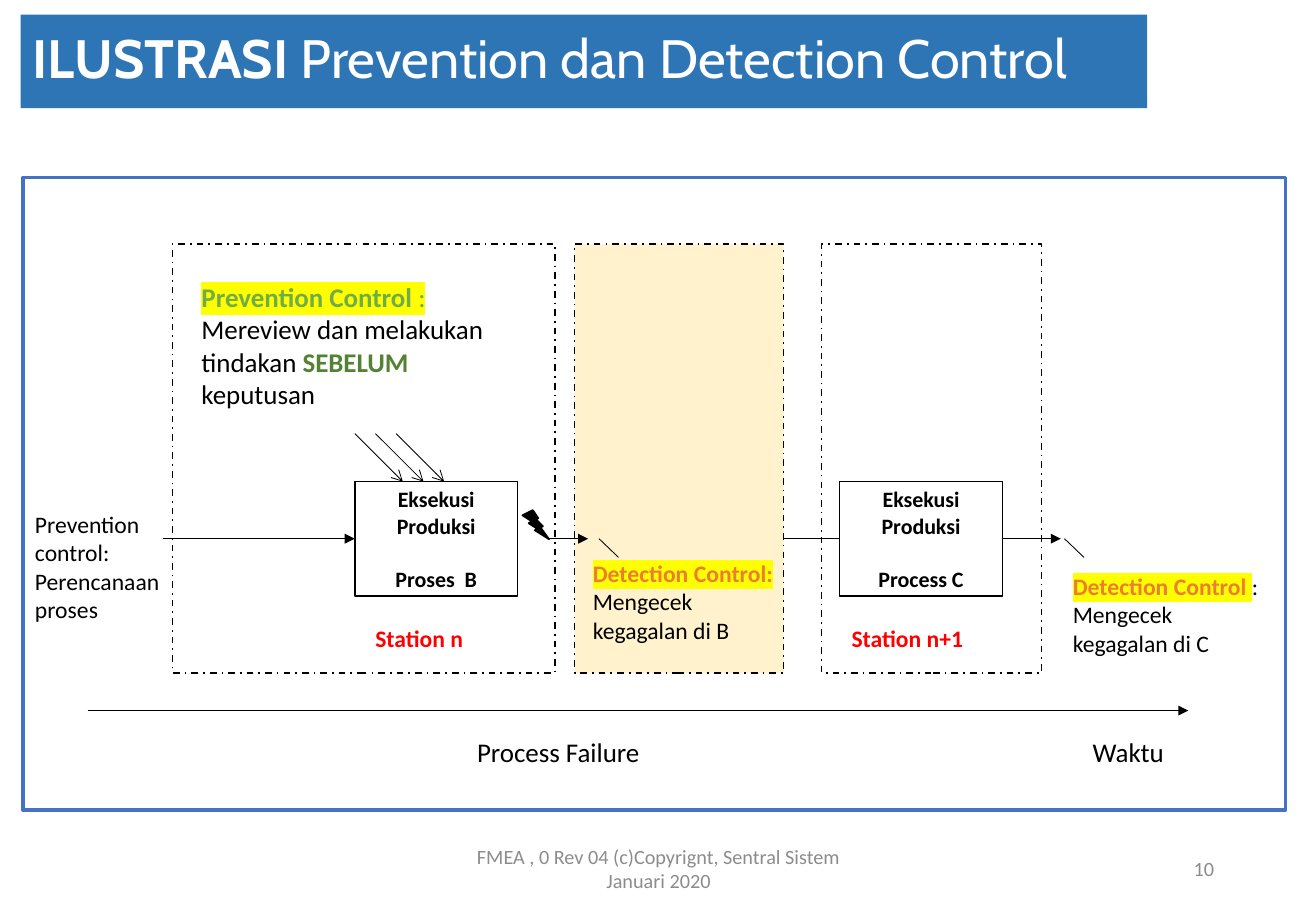
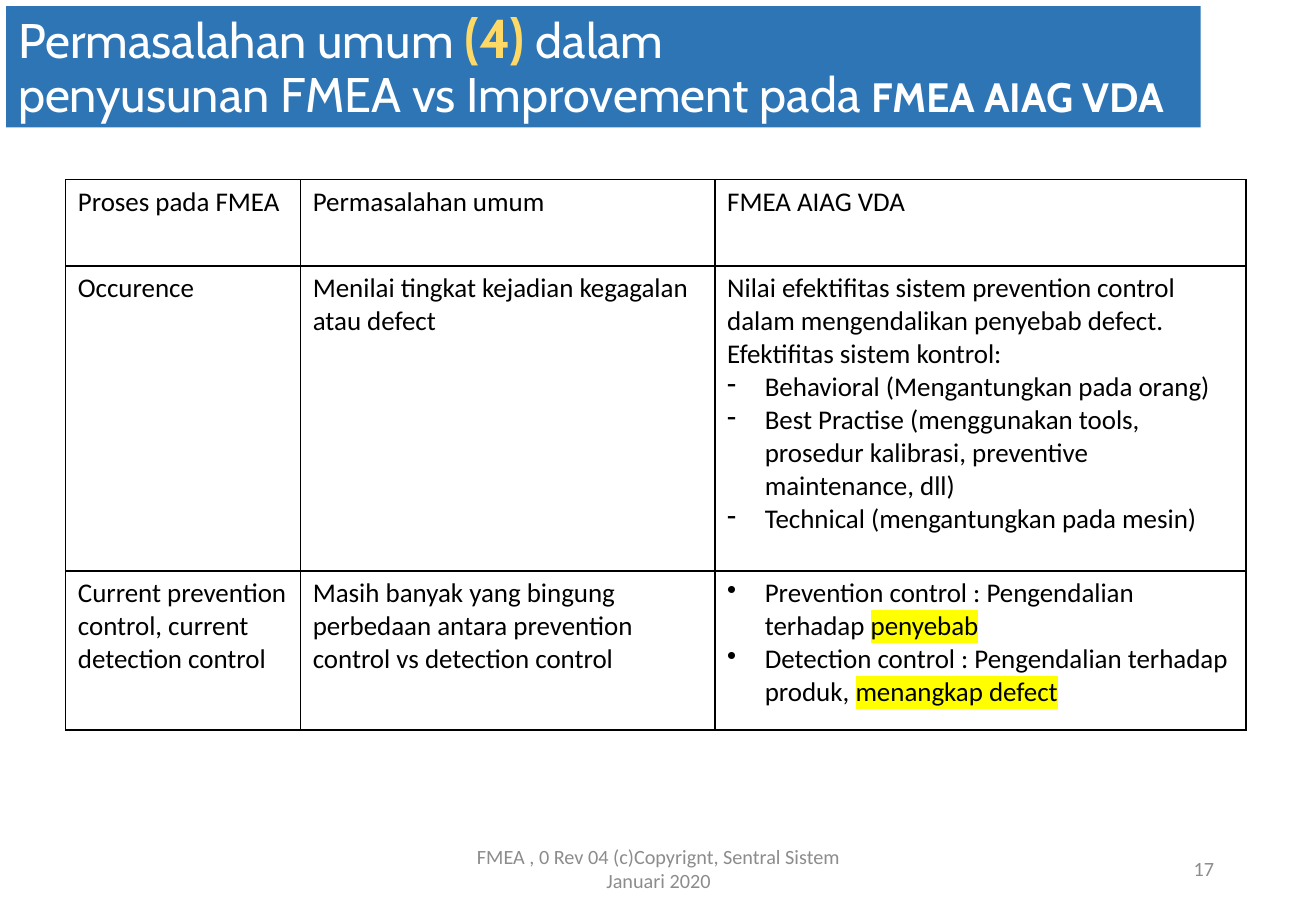
"""Builds two FMEA slides: a control flow illustration and a comparison table."""
from dataclasses import dataclass

from lxml import etree
from pptx import Presentation
from pptx.dml.color import RGBColor
from pptx.enum.dml import MSO_LINE
from pptx.enum.shapes import MSO_CONNECTOR, MSO_SHAPE
from pptx.enum.text import MSO_ANCHOR, PP_ALIGN
from pptx.oxml.ns import qn
from pptx.util import Inches, Pt

RECTANGLE, BOLT = MSO_SHAPE.RECTANGLE, MSO_SHAPE.LIGHTNING_BOLT
STRAIGHT = MSO_CONNECTOR.STRAIGHT
DASH_DOT = MSO_LINE.DASH_DOT
LEFT, CENTER, RIGHT = PP_ALIGN.LEFT, PP_ALIGN.CENTER, PP_ALIGN.RIGHT
TOP, MIDDLE = MSO_ANCHOR.TOP, MSO_ANCHOR.MIDDLE
LEFT_SIDE, RIGHT_SIDE = 1, 3

COLORS = {
    "band": "2E75B6", "white": "FFFFFF", "gold": "FFD966", "black": "000000",
    "footer": "8C8C8C", "cream": "FFF2CC", "orange": "ED7D31", "green": "70AD47",
    "dark green": "548235", "red": "FF0000", "frame": "4472C4", "marker": "FFFF00",
}
WIDTH, HEIGHT = Inches(10.83), Inches(7.5)
COLUMN, ROW = WIDTH / 100, HEIGHT / 100
HANGING = Inches(0.31)

BODY = {"name": "Calibri", "size": 16, "bold": False, "color": "black"}
NOTE = {**BODY, "size": 14}
STATION = {**NOTE, "bold": True, "color": "red"}
STEP = {**BODY, "size": 13, "bold": True}
FOOTER = {**BODY, "size": 12, "color": "footer"}
TITLE = {**BODY, "name": "Cabin", "size": 32, "color": "white"}
DETECTION = {"bold": True, "color": "orange", "marker": "marker"}
PREVENTION = {"color": "green", "marker": "marker"}
MARKED = {"marker": "marker"}

ZONE_TOP, ZONE_HEIGHT = 26.8, 47.07
STEP_TOP, STEP_WIDTH, STEP_HEIGHT = 52.87, 12.37, 12.53
FLOW = STEP_TOP + STEP_HEIGHT / 2
STEP_B, STEP_C = 26.96, 63.8
STATION_TOP, AXIS_TOP, FOOTER_TOP = 67.87, 80.13, 92.67


@dataclass
class Para:
    """A paragraph: runs are strings or (string, format) pairs."""
    runs: list
    bullet: str = ""
    before: float = 0


def across(columns):
    """Turns columns into a horizontal length."""
    return round(columns * COLUMN)


def down(rows):
    """Turns rows into a vertical length."""
    return round(rows * ROW)


def place(left, top, width, height):
    """Turns a grid area into slide lengths."""
    return across(left), down(top), across(width), down(height)


def rgb(name):
    """Looks up a named colour."""
    return RGBColor.from_string(COLORS[name])


def add_run(paragraph, text, look):
    """Adds one formatted run."""
    run = paragraph.add_run()
    run.text = text
    values = dict(look)
    marker = values.pop("marker", None)
    run.font.color.rgb = rgb(values.pop("color"))
    values["size"] = Pt(values["size"])
    for attribute, value in values.items():
        setattr(run.font, attribute, value)
    if marker:
        highlight = etree.Element(qn("a:highlight"))
        etree.SubElement(highlight, qn("a:srgbClr"), val=COLORS[marker])
        run.font._element.find(qn("a:solidFill")).addnext(highlight)


def write(frame, paragraphs, look, align=LEFT, spacing=None):
    """Fills a text frame with paragraphs."""
    frame.word_wrap = True
    for index, para in enumerate(paragraphs):
        paragraph = frame.add_paragraph() if index else frame.paragraphs[0]
        paragraph.alignment = align
        if spacing:
            paragraph.line_spacing = spacing
        if para.before:
            paragraph.space_before = Pt(para.before)
        if para.bullet:
            properties = paragraph._p.get_or_add_pPr()
            properties.set("marL", str(HANGING))
            properties.set("indent", str(-HANGING))
            etree.SubElement(properties, qn("a:buChar"), char=para.bullet)
        for run in para.runs:
            text, change = (run, {}) if isinstance(run, str) else run
            if text == "\n":
                paragraph.add_line_break()
            else:
                add_run(paragraph, text, {**look, **change})


def add_text(slide, area, paragraphs, look, align=LEFT, anchor=TOP):
    """Adds a text box."""
    frame = slide.shapes.add_textbox(*place(*area)).text_frame
    frame.vertical_anchor = anchor
    write(frame, paragraphs, look, align)


def add_block(slide, area, fill=None, line=None, weight=1, dash=None, kind=RECTANGLE):
    """Adds a preset shape with optional fill and outline."""
    block = slide.shapes.add_shape(kind, *place(*area))
    block.shadow.inherit = False
    if fill:
        block.fill.solid()
        block.fill.fore_color.rgb = rgb(fill)
    else:
        block.fill.background()
    if line:
        block.line.color.rgb = rgb(line)
        block.line.width = Pt(weight)
        block.line.dash_style = dash
    else:
        block.line.fill.background()
    return block


def add_line(slide, start, end, head=None, weight=0.5, source=None, target=None):
    """Adds a straight line, joined to a (shape, side) where given."""
    line = slide.shapes.add_connector(
        STRAIGHT, across(start[0]), down(start[1]), across(end[0]), down(end[1]))
    if source:
        line.begin_connect(*source)
    if target:
        line.end_connect(*target)
    line.line.color.rgb = rgb("black")
    line.line.width = Pt(weight)
    if head:
        etree.SubElement(line.line._get_or_add_ln(), qn("a:tailEnd"), type=head)
    etree.SubElement(line._element.spPr, qn("a:effectLst"))


def add_title(slide, area, runs, look):
    """Adds the blue title band."""
    band = add_block(slide, area, fill="band")
    band.text_frame.vertical_anchor = MIDDLE
    write(band.text_frame, [Para(runs)], look, spacing=0.9)


def add_footer(slide, number):
    """Adds the copyright line and page number."""
    copyright_line = "FMEA , 0 Rev 04 (c)Copyrignt, Sentral Sistem Januari 2020"
    add_text(slide, (33.15, FOOTER_TOP, 33.8, 5.33), [Para([copyright_line])],
             FOOTER, CENTER, MIDDLE)
    add_text(slide, (70.64, FOOTER_TOP, 22.53, 5.33), [Para([str(number)])],
             FOOTER, RIGHT, MIDDLE)


def add_step(slide, left, name):
    """Adds a production step box."""
    step = add_block(slide, (left, STEP_TOP, STEP_WIDTH, STEP_HEIGHT), line="black")
    step.text_frame.vertical_anchor = MIDDLE
    write(step.text_frame, [Para(["Eksekusi Produksi"]), Para([name], before=15.9)],
          STEP, CENTER)
    return step


def add_cell_borders(cell):
    """Draws a thin black border on all four sides of a cell."""
    properties = cell._tc.get_or_add_tcPr()
    for index, side in enumerate(("a:lnL", "a:lnR", "a:lnT", "a:lnB")):
        border = etree.Element(qn(side), w=str(Pt(1)))
        fill = etree.SubElement(border, qn("a:solidFill"))
        etree.SubElement(fill, qn("a:srgbClr"), val=COLORS["black"])
        properties.insert(index, border)


def add_grid(slide, corner, widths, heights, rows):
    """Adds a bordered table with unfilled cells."""
    table = slide.shapes.add_table(
        len(heights), len(widths), *place(*corner, sum(widths), sum(heights))).table
    table.first_row = table.horz_banding = False
    for column, width in zip(table.columns, widths):
        column.width = across(width)
    for row, height, contents in zip(table.rows, heights, rows):
        row.height = down(height)
        for cell, paragraphs in zip(row.cells, contents):
            cell.fill.background()
            add_cell_borders(cell)
            write(cell.text_frame, paragraphs, BODY)


def build_illustration(slide):
    """Builds the prevention and detection control flow."""
    add_title(slide, (1.57, 1.6, 85.6, 10.27),
              [("ILUSTRASI", {"bold": True}), " Prevention dan Detection Control"], TITLE)
    add_block(slide, (1.75, 19.47, 95.94, 69.47), line="frame", weight=2)
    for left, width, fill in ((13.11, 29.09, None), (43.67, 15.88, "cream"),
                              (62.42, 16.71, None)):
        add_block(slide, (left, ZONE_TOP, width, ZONE_HEIGHT), fill, "black", dash=DASH_DOT)

    step_b = add_step(slide, STEP_B, "Proses  B")
    step_c = add_step(slide, STEP_C, "Process C")
    add_block(slide, (39.7, 56, 2.03, 3.2), "black", "black", kind=BOLT)

    add_line(slide, (12.37, FLOW), (STEP_B, FLOW), "triangle", target=(step_b, LEFT_SIDE))
    add_line(slide, (41.74, FLOW), (44.69, FLOW), "triangle")
    add_line(slide, (59.5, FLOW), (STEP_C, FLOW), target=(step_c, LEFT_SIDE))
    add_line(slide, (STEP_C + STEP_WIDTH, FLOW), (80.61, FLOW), "triangle",
             source=(step_c, RIGHT_SIDE))
    add_line(slide, (6.65, 78), (90.3, 78), "triangle", weight=1)
    for review in range(3):
        start = STEP_B + 1.57 * review
        add_line(slide, (start, 47.6), (start + 3.65, STEP_TOP), "arrow")
    for pointer in (45.52, 80.89):
        add_line(slide, (pointer, FLOW), (pointer + 1.48, FLOW + 2.05))

    add_text(slide, (14.4, 30.13, 24.38, 15.73), [
        Para([("Prevention Control ", {**PREVENTION, "bold": True}), (":", PREVENTION)]),
        Para(["Mereview dan melakukan tindakan ",
              ("SEBELUM ", {"color": "dark green", "bold": True}), "keputusan"]),
    ], BODY)
    add_text(slide, (1.75, 55.33, 11.5, 13.87),
             [Para(["Prevention control:"]), Para(["Perencanaan proses"])], NOTE)
    add_text(slide, (44.14, 60.67, 16.62, 10.8),
             [Para([("Detection Control:", DETECTION)]),
              Para(["Mengecek kegagalan di B"])], NOTE)
    add_text(slide, (80.61, 62.13, 16.16, 10.8),
             [Para([("Detection Control ", DETECTION), ":"]),
              Para(["Mengecek kegagalan di C"])], NOTE)
    for left, station in ((27.61, "Station n"), (STEP_C, "Station n+1")):
        add_text(slide, (left, STATION_TOP, 13.11, 4.53), [Para([station])], STATION)
    for left, width, label in ((33.33, 18.19, "Process Failure"), (81.07, 9.79, "Waktu ")):
        add_text(slide, (left, AXIS_TOP, width, 4.93), [Para([label])], BODY, CENTER)


def build_comparison(slide):
    """Builds the table of common problems and improvements."""
    add_title(slide, (0.46, 0.67, 90.77, 13.33), [
        "Permasalahan umum ", ("(4)", {"size": 32.4, "color": "gold", "bold": True}),
        " dalam ", "\n", "penyusunan FMEA vs Improvement pada ",
        ("FMEA AIAG VDA", {"size": 24.3, "bold": True})], {**TITLE, "size": 28.8})
    headings = ("Proses pada FMEA", "Permasalahan umum", "FMEA AIAG VDA")
    occurrence = [
        [Para(["Occurence"])],
        [Para(["Menilai tingkat kejadian kegagalan atau defect"])],
        [Para(["Nilai efektifitas sistem prevention control dalam mengendalikan "
               "penyebab defect. Efektifitas sistem kontrol:"]),
         Para(["Behavioral (Mengantungkan pada orang)"], "-"),
         Para(["Best Practise (menggunakan tools, prosedur kalibrasi, "
               "preventive maintenance, dll)"], "-"),
         Para(["Technical (mengantungkan pada mesin)"], "-")],
    ]
    controls = [
        [Para(["Current prevention control, current detection control"])],
        [Para(["Masih banyak yang bingung perbedaan antara prevention control "
               "vs detection control"])],
        [Para(["Prevention control : Pengendalian terhadap ", ("penyebab", MARKED)], "•"),
         Para(["Detection control : Pengendalian terhadap produk, ",
               ("menangkap defect", MARKED), " "], "•")],
    ]
    add_grid(slide, (5, 19.73), (17.85, 31.49, 40.35), (9.47, 33.47, 17.47),
             [[[Para([heading])] for heading in headings], occurrence, controls])


def main():
    """Builds and saves the presentation."""
    deck = Presentation()
    deck.slide_width, deck.slide_height = WIDTH, HEIGHT
    blank = deck.slide_layouts[6]
    for build, number in ((build_illustration, 10), (build_comparison, 17)):
        slide = deck.slides.add_slide(blank)
        build(slide)
        add_footer(slide, number)
    deck.save("out.pptx")


if __name__ == "__main__":
    main()
